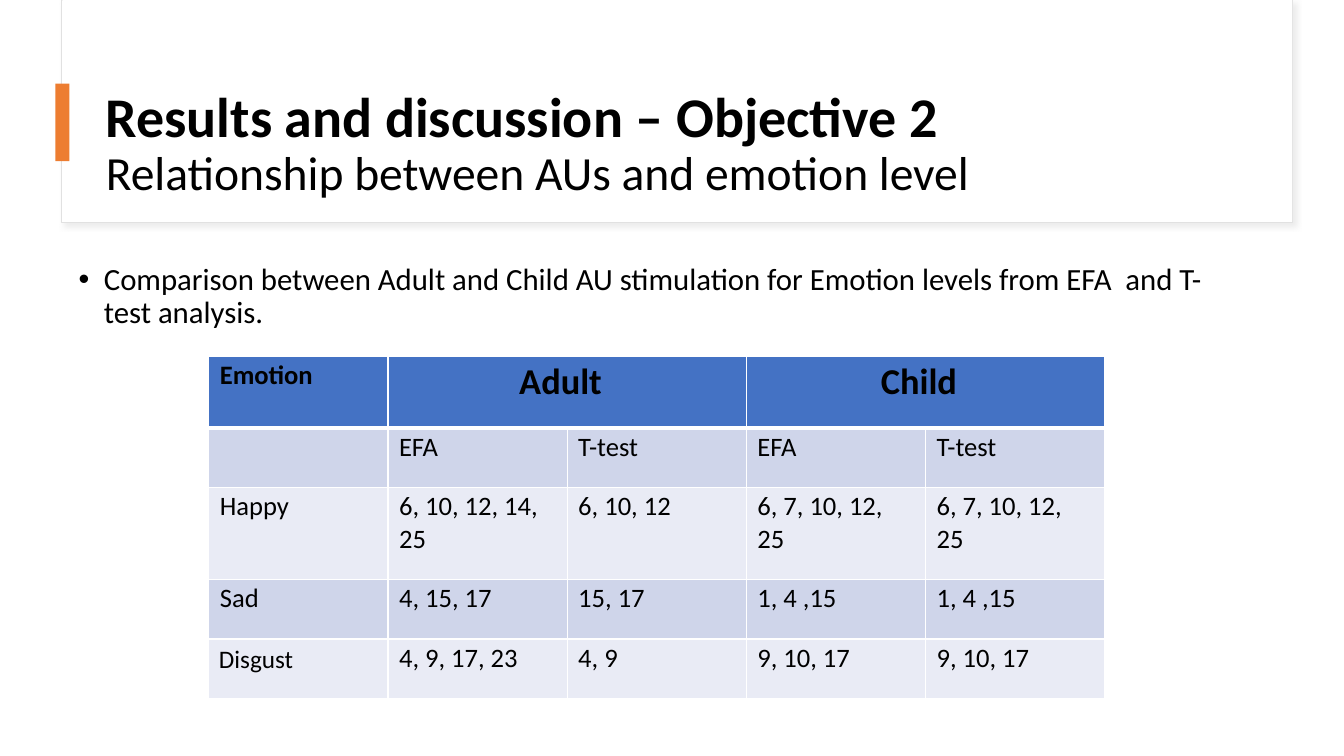
"""Build the slide on action units and emotion levels for Objective 2."""
from lxml.etree import SubElement
from pptx import Presentation
from pptx.dml.color import RGBColor
from pptx.enum.shapes import MSO_SHAPE
from pptx.enum.text import MSO_ANCHOR, MSO_AUTO_SIZE, PP_ALIGN
from pptx.oxml.ns import qn
from pptx.util import Pt

COLORS = {
    "text": "000000",
    "paper": "FFFFFF",
    "frame": "E1E1E1",
    "shadow": "D9D9D9",
    "accent": "ED7D31",
    "header": "4472C4",
    "band_dark": "CFD5EA",
    "band_light": "E9EBF5",
}
EMOTION_ROWS = [
    ["Emotion", "Adult", "", "Child", ""],
    ["", "EFA", "T-test", "EFA", "T-test"],
    ["Happy", "6, 10, 12, 14, 25", "6, 10, 12", "6, 7, 10, 12, 25", "6, 7, 10, 12, 25"],
    ["Sad", "4, 15, 17", "15, 17", "1, 4 ,15", "1, 4 ,15"],
    ["Disgust", "4, 9, 17, 23", "4, 9", "9, 10, 17", "9, 10, 17"],
]
ROW_HEIGHTS = [50, 42.5, 65.5, 42.5, 42.5]
GROUPS = ("Adult", "Child")


def color(name):
    """Return the named palette colour."""
    return RGBColor.from_string(COLORS[name])


def write(paragraph, text, size=19, bold=False, align=PP_ALIGN.LEFT, spacing=None):
    """Add formatted text to a paragraph."""
    run = paragraph.add_run()
    run.text = text
    run.font.name = "Calibri"
    run.font.size = Pt(size)
    run.font.bold = bold
    run.font.color.rgb = color("text")
    paragraph.alignment = align
    if spacing:
        paragraph.line_spacing = spacing


class ResultsSlide:
    """Hold the current slide and draw its elements in one style."""

    def __init__(self, deck):
        """Add a title and content slide to the deck."""
        self.slide = deck.slides.add_slide(deck.slide_layouts[1])

    def block(self, left, top, width, height, fill, line=None):
        """Draw a plain rectangle."""
        rectangle = self.slide.shapes.add_shape(
            MSO_SHAPE.RECTANGLE, Pt(left), Pt(top), Pt(width), Pt(height))
        rectangle.shadow.inherit = False
        rectangle.fill.solid()
        rectangle.fill.fore_color.rgb = color(fill)
        if line:
            rectangle.line.color.rgb = color(line)
            rectangle.line.width = Pt(0.75)
        else:
            rectangle.line.fill.background()
        return rectangle

    def cast_shadow(self, rectangle):
        """Give a rectangle a soft shadow to the lower right."""
        effects = rectangle.element.spPr.find(qn("a:effectLst"))
        shadow = SubElement(effects, qn("a:outerShdw"), blurRad=str(Pt(4)),
                            dist=str(Pt(3)), dir="2700000", algn="tl", rotWithShape="0")
        tint = SubElement(shadow, qn("a:srgbClr"), val=COLORS["shadow"])
        SubElement(tint, qn("a:alpha"), val="50000")

    def place(self, placeholder, left, top, width, height, anchor):
        """Move a placeholder to the front and return its first paragraph."""
        placeholder.left, placeholder.top = Pt(left), Pt(top)
        placeholder.width, placeholder.height = Pt(width), Pt(height)
        placeholder.element.getparent().append(placeholder.element)
        frame = placeholder.text_frame
        frame.word_wrap = True
        frame.auto_size = MSO_AUTO_SIZE.NONE
        frame.vertical_anchor = anchor
        return frame.paragraphs[0]

    def title(self, heading, subheading):
        """Fill the title with a bold heading above a lighter subheading."""
        lines = self.place(self.slide.shapes.title, 68.4, 56.9, 800.6, 92.9, MSO_ANCHOR.MIDDLE)
        write(lines, heading, size=40, bold=True, spacing=0.9)
        lines.add_line_break()
        SubElement(lines.runs[0]._r.getnext(), qn("a:rPr"), sz="4000")
        write(lines, subheading, size=34, spacing=0.9)

    def bullet(self, statement):
        """Fill the body with one bulleted statement."""
        item = self.place(self.slide.placeholders[1], 49, 185, 839.5, 301.7, MSO_ANCHOR.TOP)
        write(item, statement, size=22, spacing=0.9)
        item.space_before = Pt(10)
        properties = item._p.get_or_add_pPr()
        properties.set("marL", str(Pt(18)))
        properties.set("indent", str(-Pt(18)))
        SubElement(properties, qn("a:buFont"), typeface="Arial")
        SubElement(properties, qn("a:buChar"), char="•")

    def style_cell(self, cell, fill, top, bottom):
        """Set the borders, fill and margins of a cell."""
        properties = cell._tc.get_or_add_tcPr()
        for side, width in (("L", 1), ("R", 1), ("T", top), ("B", bottom)):
            border = SubElement(properties, qn(f"a:ln{side}"), w=str(Pt(width)))
            SubElement(SubElement(border, qn("a:solidFill")), qn("a:srgbClr"),
                       val=COLORS["paper"])
        cell.fill.solid()
        cell.fill.fore_color.rgb = color(fill)
        cell.margin_left, cell.margin_top = Pt(7.9), Pt(2.2)
        cell.margin_right = cell.margin_bottom = Pt(17.3)

    def table(self, rows, left, top, width):
        """Draw the emotion table with merged age-group headings."""
        grid = self.slide.shapes.add_table(
            len(rows), len(rows[0]), Pt(left), Pt(top), Pt(width), Pt(sum(ROW_HEIGHTS))).table
        grid.first_row = grid.horz_banding = False
        for r, (labels, height) in enumerate(zip(rows, ROW_HEIGHTS)):
            grid.rows[r].height = Pt(height)
            fill = "header" if r == 0 else "band_dark" if r % 2 else "band_light"
            for c, label in enumerate(labels):
                cell = grid.cell(r, c)
                self.style_cell(cell, fill, 3 if r == 1 else 1, 3 if r == 0 else 1)
                if label in GROUPS:
                    cell.merge(grid.cell(r, c + 1))
                    cell.vertical_anchor = MSO_ANCHOR.BOTTOM
                    write(cell.text_frame.paragraphs[0], label, size=26, bold=True,
                          align=PP_ALIGN.CENTER)
                elif label:
                    write(cell.text_frame.paragraphs[0], label, bold=r == 0,
                          size=18 if label == "Disgust" else 19)
        disgust = grid.cell(len(rows) - 1, 0)
        disgust.margin_left = disgust.margin_right = Pt(7.2)
        disgust.margin_top = disgust.margin_bottom = Pt(3.6)


def main():
    """Compose and save the slide."""
    deck = Presentation()
    deck.slide_width, deck.slide_height = Pt(960), Pt(540)
    results = ResultsSlide(deck)
    header_frame = results.block(44, 0, 879, 159, "paper", line="frame")
    results.cast_shadow(header_frame)
    results.block(44.6, 0, 878.4, 158.4, "paper")
    results.title("Results and discussion – Objective 2",
                  "Relationship between AUs and emotion level")
    results.block(39.5, 59.8, 10, 55.4, "accent")
    results.bullet("Comparison between Adult and Child AU stimulation for Emotion levels "
                   "from EFA  and T-test analysis.")
    results.table(EMOTION_ROWS, 149.2, 254.5, 640)
    deck.save("out.pptx")


if __name__ == "__main__":
    main()
